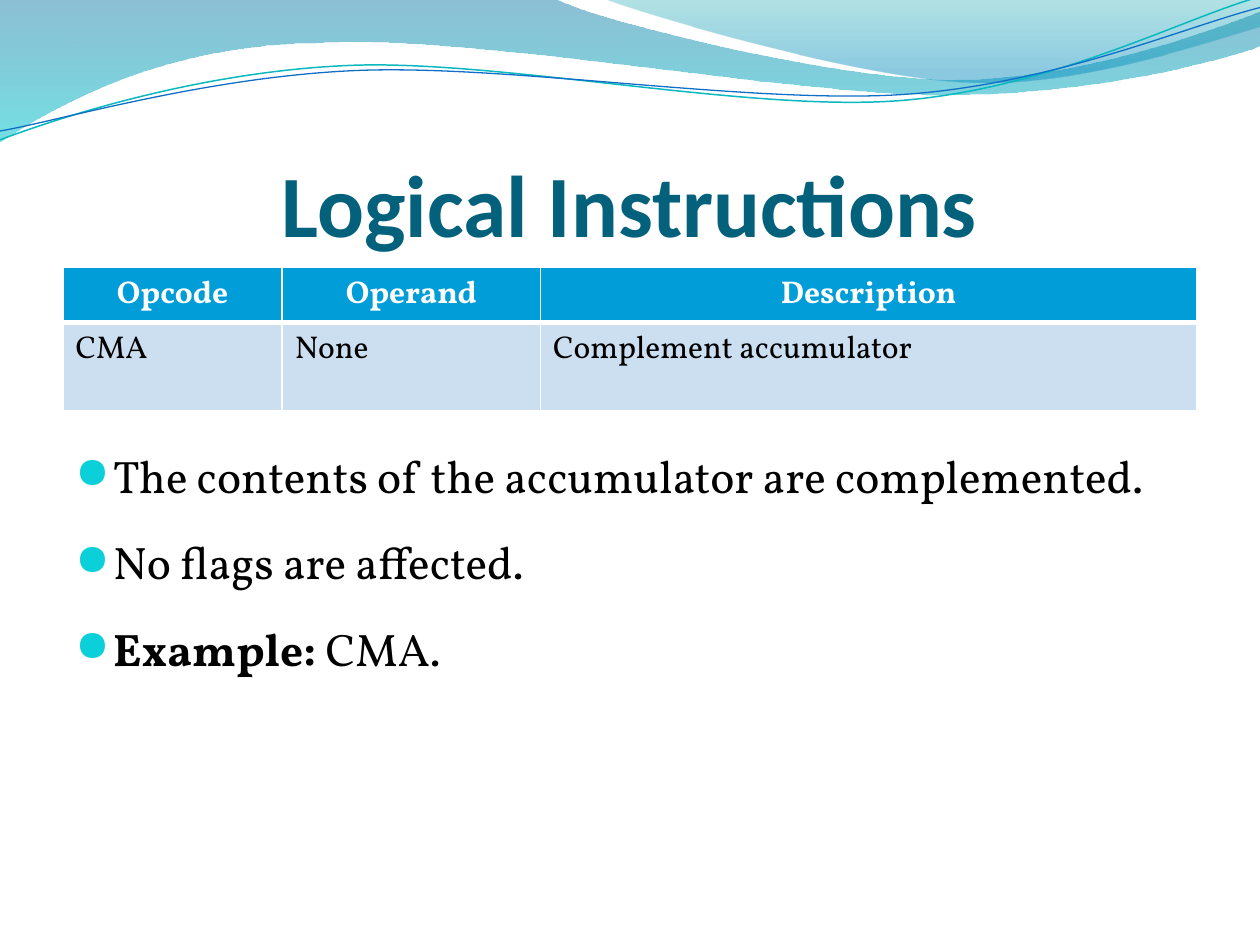
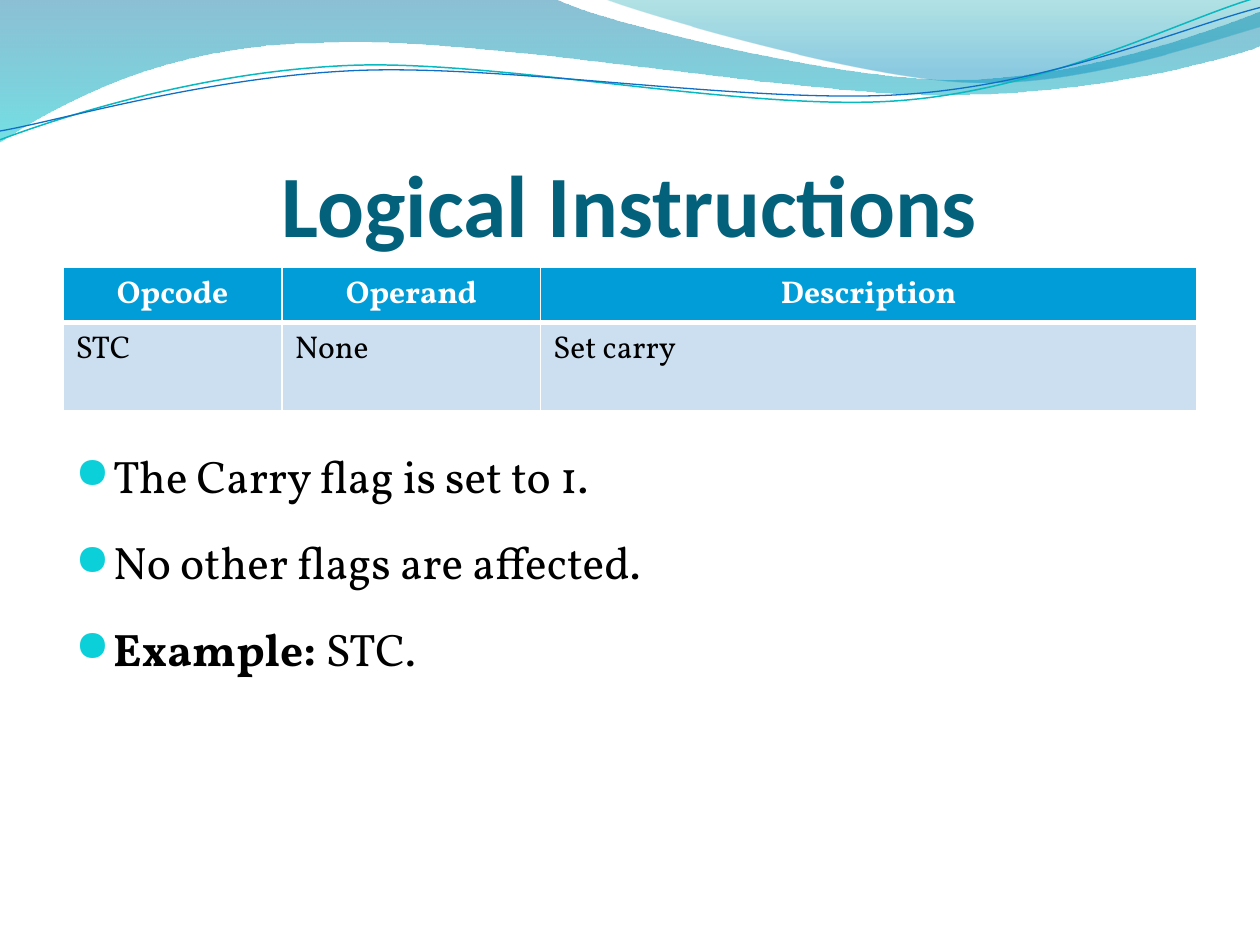
from lxml import etree
from pptx import Presentation
from pptx import util as u
from pptx.dml.color import RGBColor
from pptx.enum import text
from pptx.oxml import ns

TITLE_FONT, BODY_FONT = "Calibri", "Vollkorn"
TEAL, WHITE, BLACK = "04617B", "FFFFFF", "000000"
HEADER_BLUE, ROW_BLUE, BULLET_CYAN = "009DD9", "CCDFF1", "0BD0D9"
HEADINGS = ["Opcode", "Operand", "Description"]
COLUMN_WIDTHS = [1.74, 2.05, 5.21]
ROW_HEIGHTS = [0.44, 0.7]

BROAD_WAVE = [
    [(0, -0.01)], [(4.4, -0.01)],
    [(4.76, 0.17), (6.64, 0.63), (7.58, 0.63)],
    [(8.53, 0.63), (9.58, 0.26), (10, 0.09)],
    [(10.01, 0.36)],
    [(9.83, 0.44), (8.7, 0.76), (7.46, 0.75)],
    [(6.22, 0.75), (3.82, 0.28), (2.57, 0.34)],
    [(1.29, 0.35), (0.46, 0.83), (-0.01, 1.13)],
    [(0, -0.01)],
]
RIGHT_WAVE = [
    [(4.79, -0.01)],
    [(5.09, 0.11), (6.82, 0.62), (7.69, 0.65)],
    [(8.56, 0.69), (9.61, 0.32), (10, 0.21)],
    [(10, 0)],
    [(4.79, -0.01)],
]
CYAN_STRAND = [
    [(0, 1.11)],
    [(0.48, 0.93), (1.58, 0.57), (2.77, 0.52)],
    [(3.95, 0.47), (5.93, 0.89), (7.13, 0.8)],
    [(8.33, 0.71), (9.38, 0.15), (9.98, -0.02)],
]
BLUE_STRAND = [
    [(0, 1.04)],
    [(0.47, 0.96), (1.64, 0.61), (2.83, 0.56)],
    [(4.03, 0.51), (5.97, 0.83), (7.17, 0.75)],
    [(8.36, 0.67), (9.41, 0.21), (10, 0.06)],
]
SLIDES = [
    (["CMA", "None", "Complement accumulator"],
     ["The contents of the accumulator are complemented.", "No flags are affected."]),
    (["STC", "None", "Set carry"],
     ["The Carry flag is set to 1.", "No other flags are affected."]),
]


def color(hex_value):
    """Turn a hex string into a colour."""
    return RGBColor.from_string(hex_value)


def add_xml(parent, tag, **attributes):
    """Append a DrawingML element and return it."""
    return etree.SubElement(parent, ns.qn(tag), attributes)


def style_run(run, font, size, hex_value, bold=False):
    """Format one run of text."""
    run.font.name, run.font.size, run.font.bold = font, u.Pt(size), bold
    run.font.color.rgb = color(hex_value)


def bend(outline, segments):
    """Merge the lines of each three-point segment into a Bezier curve."""
    lines = iter(list(outline._element.iter(ns.qn("a:lnTo"))))
    for segment in segments[1:]:
        sides = [next(lines) for _ in segment]
        if len(sides) == 3:
            curve = etree.Element(ns.qn("a:cubicBezTo"))
            sides[0].addprevious(curve)
            for side in sides:
                curve.append(side[0])
                side.getparent().remove(side)


def add_outline(slide, segments, close):
    """Draw a freeform through the given segments."""
    start, *rest = [(u.Inches(x), u.Inches(y)) for segment in segments for x, y in segment]
    builder = slide.shapes.build_freeform(*start)
    builder.add_line_segments(rest, close=close)
    outline = builder.convert_to_shape()
    bend(outline, segments)
    outline.shadow.inherit = False
    return outline


def add_wave(slide, segments, stops):
    """Draw a translucent wave with a vertical gradient."""
    wave = add_outline(slide, segments, True)
    wave.line.fill.background()
    wave.fill.gradient()
    wave.fill.gradient_angle = 270
    for stop, (position, hex_value, _) in zip(wave.fill.gradient_stops, stops):
        stop.position = position
        stop.color.rgb = color(hex_value)
    tints = wave._element.spPr.iter(ns.qn("a:srgbClr"))
    for tint, (_, _, opacity) in zip(tints, stops):
        add_xml(tint, "a:alpha", val=str(opacity * 1000))


def add_strand(slide, segments, hex_value, width):
    """Draw a thin curved line."""
    strand = add_outline(slide, segments, False)
    strand.fill.background()
    strand.line.color.rgb = color(hex_value)
    strand.line.width = u.Pt(width)


def add_banner(slide):
    """Draw the waves and strands along the top."""
    add_wave(slide, BROAD_WAVE, [(0, "0074A1", 45), (1, "00C6CF", 55)])
    add_wave(slide, RIGHT_WAVE, [(0, "00A1A9", 30), (0.8, "008BBF", 45)])
    add_strand(slide, CYAN_STRAND, "0AB8BF", 0.85)
    add_strand(slide, BLUE_STRAND, "0F6FC6", 0.75)


def add_text_frame(slide, top, height):
    """Add a wrapping text box across the content width."""
    box = slide.shapes.add_textbox(u.Inches(0.5), u.Inches(top), u.Inches(9), u.Inches(height))
    box.text_frame.word_wrap = True
    return box.text_frame


def add_title(slide, title):
    """Add the centred slide title."""
    frame = add_text_frame(slide, 0.77, 1.25)
    frame.margin_left = frame.margin_right = frame.margin_bottom = 0
    frame.vertical_anchor = text.MSO_ANCHOR.BOTTOM
    frame.text = title
    heading = frame.paragraphs[0]
    heading.alignment = text.PP_ALIGN.CENTER
    style_run(heading.runs[0], TITLE_FONT, 50, TEAL, True)


def set_borders(cell, widths):
    """Give a cell white borders, in points by side."""
    properties = cell._tc.get_or_add_tcPr()
    for side, width in widths.items():
        border = add_xml(properties, f"a:ln{side}", w=str(u.Pt(width)))
        add_xml(add_xml(border, "a:solidFill"), "a:srgbClr", val=WHITE)


def add_instruction_table(slide, instruction):
    """Add the table that describes one instruction."""
    table = slide.shapes.add_table(2, 3, u.Inches(0.5), u.Inches(2.12), u.Inches(9),
                                   u.Inches(sum(ROW_HEIGHTS))).table
    for column, width in zip(table.columns, COLUMN_WIDTHS):
        column.width = u.Inches(width)
    for row, height, values in zip(table.rows, ROW_HEIGHTS, [HEADINGS, instruction]):
        row.height = u.Inches(height)
        is_header = values is HEADINGS
        for cell, value in zip(row.cells, values):
            set_borders(cell, {"L": 1, "R": 1, "T": 1 if is_header else 3,
                               "B": 3 if is_header else 1})
            cell.fill.solid()
            cell.fill.fore_color.rgb = color(HEADER_BLUE if is_header else ROW_BLUE)
            cell.text = value
            entry = cell.text_frame.paragraphs[0]
            entry.alignment = text.PP_ALIGN.CENTER if is_header else text.PP_ALIGN.LEFT
            style_run(entry.runs[0], BODY_FONT, 18, WHITE if is_header else BLACK, is_header)


def add_bullet(paragraph):
    """Give a paragraph a hanging cyan bullet."""
    properties = paragraph._p.get_or_add_pPr()
    properties.set("marL", str(u.Inches(0.3)))
    properties.set("indent", str(-u.Inches(0.3)))
    paragraph.space_after = u.Pt(18)
    add_xml(add_xml(properties, "a:buClr"), "a:srgbClr", val=BULLET_CYAN)
    add_xml(properties, "a:buSzPct", val="95000")
    add_xml(properties, "a:buFont", typeface="OpenSymbol")
    add_xml(properties, "a:buChar", char="●")


def add_effects(slide, effects, opcode):
    """List the effects of an instruction and an example."""
    frame = add_text_frame(slide, 3.51, 3.4)
    lines = [[(effect, False)] for effect in effects]
    lines.append([("Example:", True), (f" {opcode}.", False)])
    for index, parts in enumerate(lines):
        paragraph = frame.add_paragraph() if index else frame.paragraphs[0]
        add_bullet(paragraph)
        for wording, bold in parts:
            run = paragraph.add_run()
            run.text = wording
            style_run(run, BODY_FONT, 26, BLACK, bold)


def main():
    """Build and save the presentation."""
    deck = Presentation()
    deck.slide_width, deck.slide_height = u.Inches(10), u.Inches(7.5)
    for instruction, effects in SLIDES:
        slide = deck.slides.add_slide(deck.slide_layouts[6])
        add_banner(slide)
        add_title(slide, "Logical Instructions")
        add_instruction_table(slide, instruction)
        add_effects(slide, effects, instruction[0])
    deck.save("out.pptx")


if __name__ == "__main__":
    main()
